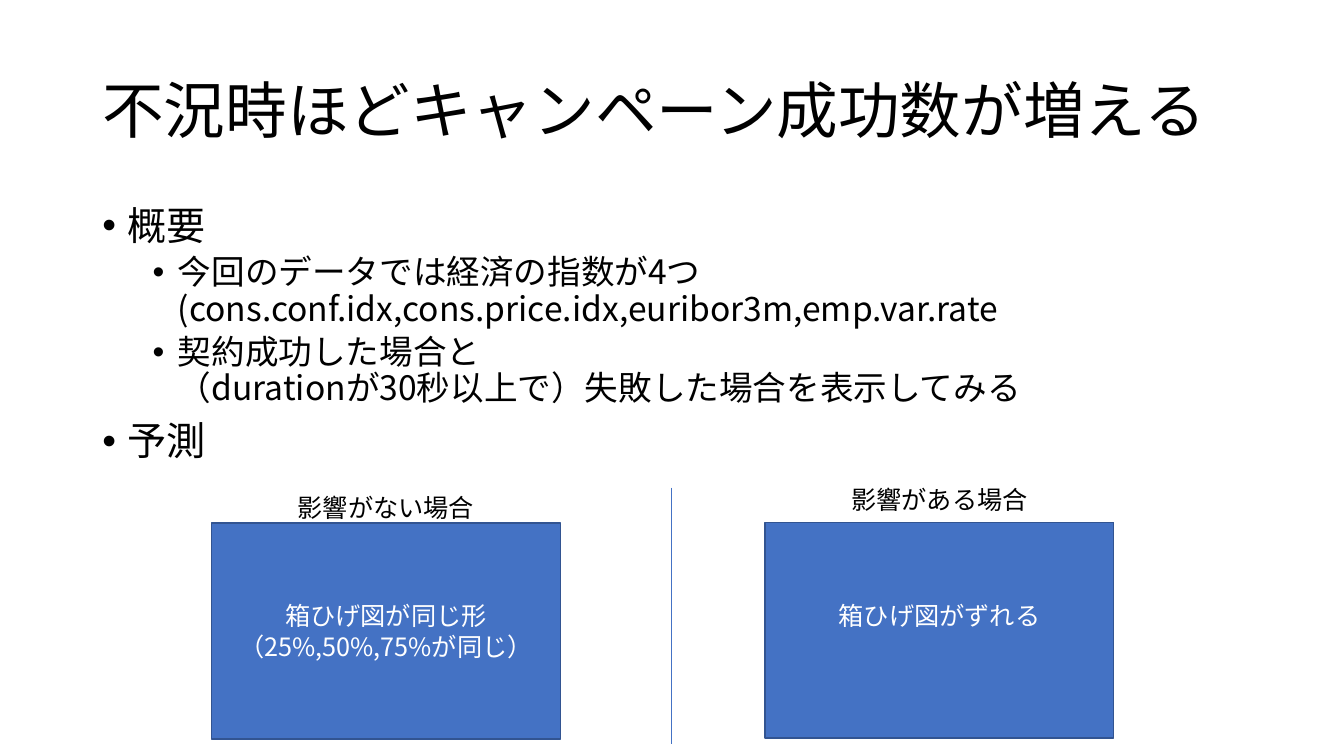
from collections import namedtuple
from dataclasses import dataclass

from lxml.etree import SubElement
from pptx import Presentation
from pptx.dml.color import RGBColor as Color
from pptx.enum.shapes import MSO_CONNECTOR as Connector, MSO_SHAPE as Shape
from pptx.enum.text import MSO_ANCHOR as Anchor, PP_ALIGN as Align
from pptx.oxml.ns import qn
from pptx.util import Cm, Pt

Box = namedtuple("Box", "left top width height")


@dataclass(frozen=True)
class Theme:
    font: str = "Noto Sans CJK JP"
    ink: Color = Color(0, 0, 0)
    paper: Color = Color(255, 255, 255)
    blue: Color = Color(0x44, 0x72, 0xC4)
    edge: Color = Color(0x32, 0x54, 0x91)
    title_size: int = 44
    level_sizes: tuple = (28, 24)
    small_size: int = 18


THEME = Theme()


def lengths(box):
    return [Cm(value) for value in box]


def style(para, size, color=THEME.ink):
    """Give a paragraph one font for Latin and East Asian text."""
    font = para.font
    font.size, font.name = Pt(size), THEME.font
    font.color.rgb = color
    properties = para._p.get_or_add_pPr().find(qn("a:defRPr"))
    SubElement(properties, qn("a:ea"), typeface=THEME.font)


def add_text_box(page, box, wrap=True):
    frame = page.shapes.add_textbox(*lengths(box)).text_frame
    frame.word_wrap = wrap
    return frame


def add_title(page, box, text):
    frame = add_text_box(page, box)
    frame.vertical_anchor = Anchor.MIDDLE
    para = frame.paragraphs[0]
    para.text, para.line_spacing = text, 0.9
    style(para, THEME.title_size)


def add_bullets(page, box, items):
    frame = add_text_box(page, box)
    for index, (level, text) in enumerate(items):
        para = frame.add_paragraph() if index else frame.paragraphs[0]
        para.text, para.level, para.line_spacing = text, level, 0.9
        para.space_before = Pt(5 if level else 10)
        # Hanging bullet, one step deeper for each level
        properties = para._p.get_or_add_pPr()
        properties.set("marL", str(Cm(0.635 + 1.27 * level)))
        properties.set("indent", str(-Cm(0.635)))
        SubElement(properties, qn("a:buFont"), typeface="Arial")
        SubElement(properties, qn("a:buChar"), char="•")
        style(para, THEME.level_sizes[level])


def add_divider(page, box):
    line = page.shapes.add_connector(
        Connector.STRAIGHT, Cm(box.left), Cm(box.top),
        Cm(box.left + box.width), Cm(box.top + box.height))
    line.line.color.rgb, line.line.width = THEME.blue, Pt(0.5)
    SubElement(line._element.spPr, qn("a:effectLst"))


def add_case(page, box, label, label_gap, text, lift=0):
    """Draw a filled box with its label centred above it."""
    # Label
    width = 5
    label_box = Box(box.left + (box.width - width) / 2,
                    box.top - label_gap, width, 1.02)
    para = add_text_box(page, label_box, wrap=False).paragraphs[0]
    para.text, para.alignment = label, Align.CENTER
    style(para, THEME.small_size)

    # Filled box
    panel = page.shapes.add_shape(Shape.RECTANGLE, *lengths(box))
    panel.shadow.inherit = False
    panel.fill.solid()
    panel.fill.fore_color.rgb = THEME.blue
    panel.line.color.rgb, panel.line.width = THEME.edge, Pt(1)
    frame = panel.text_frame
    frame.word_wrap, frame.vertical_anchor = True, Anchor.MIDDLE
    frame.margin_bottom = Cm(0.13 + 2 * lift)
    para = frame.paragraphs[0]
    para.text, para.alignment = text, Align.CENTER
    style(para, THEME.small_size, THEME.paper)


deck = Presentation()
deck.slide_width, deck.slide_height = Cm(33.87), Cm(19.05)
page = deck.slides.add_slide(deck.slide_layouts[6])

# Title and outline
add_title(page, Box(2.33, 1.02, 29.21, 3.68),
          "不況時ほどキャンペーン成功数が増える")
add_bullets(page, Box(2.33, 5.08, 29.21, 12.09), [
    (0, "概要"),
    (1, "今回のデータでは経済の指数が4つ\v"
        "(cons.conf.idx,cons.price.idx,euribor3m,emp.var.rate"),
    (1, "契約成功した場合と\v"
        "（durationが30秒以上で）失敗した場合を表示してみる"),
    (0, "予測"),
])

# Two predicted cases side by side
add_divider(page, Box(16.93, 12.29, 0, 6.45))
add_case(page, Box(5.33, 13.18, 8.79, 5.44), "影響がない場合", 0.89,
         "箱ひげ図が同じ形\v（25%,50%,75%が同じ）")
add_case(page, Box(19.28, 13.16, 8.79, 5.44), "影響がある場合", 1.09,
         "箱ひげ図がずれる", lift=0.38)

deck.save("out.pptx")
